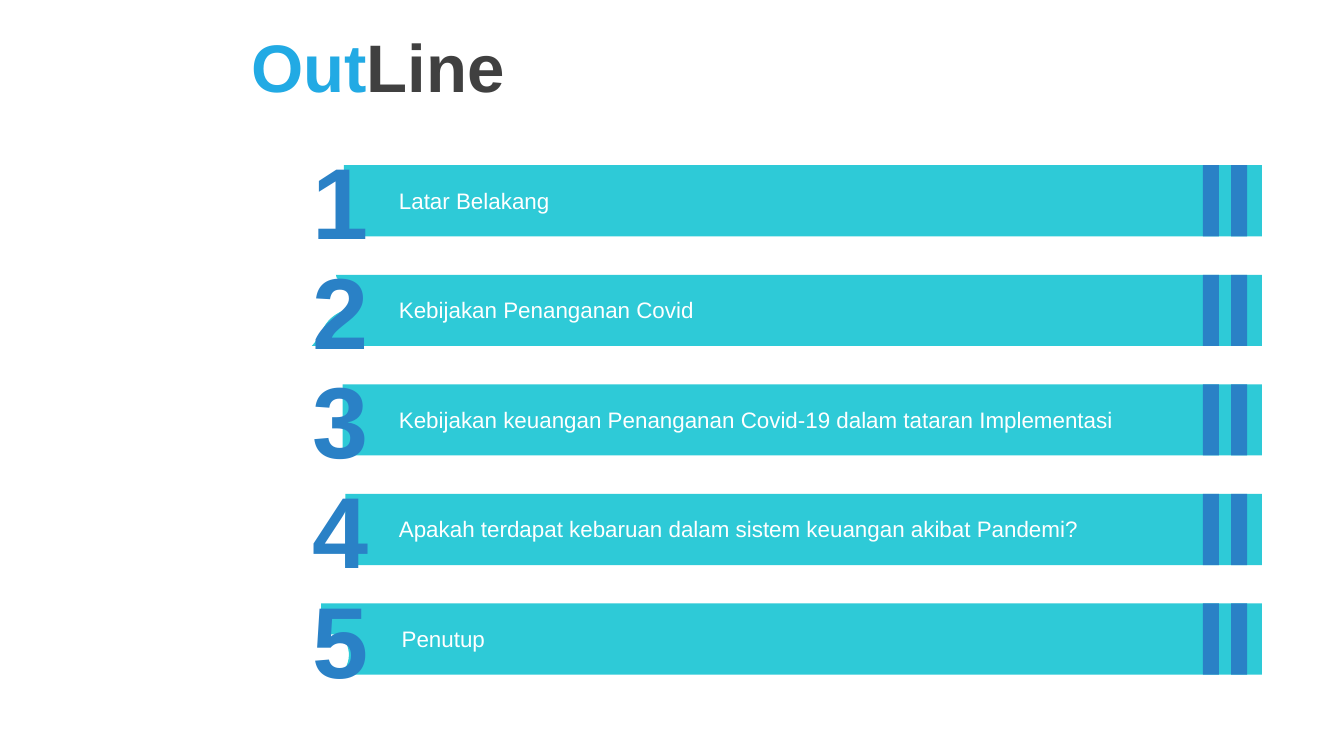
"""Build an outline slide with five numbered banners."""
from pptx import Presentation
from pptx import util as u
from pptx.dml import color
from pptx.enum import shapes, text

FONT = "Arial"
BANNER, ACCENT = "2ECAD7", "2A81C6"
TITLE = [("Out", "22AAE4"), ("Line", "404040")]
RIGHT, HEIGHT = 9.39, 0.53
FIRST_TOP, LAST_TOP = 1.23, 4.49
STRIPE_LEFTS, STRIPE_WIDTH = (9.16, 8.95), 0.12

TWO_EDGE = [
    [(2.32, 0.53)],
    [(2.41, 0.44), (2.39, 0.33), (2.57, 0.26)],
    [(2.74, 0.1), (2.5, 0.08), (2.5, 0)],
]
FIVE_EDGE = [
    [(2.54, 0.53)],
    [(2.61, 0.44), (2.62, 0.34), (2.54, 0.23)],
    [(2.39, 0.23)],
    [(2.39, 0)],
]
ITEMS = [
    ("Latar Belakang", 2.56, 2.87, 5.47),
    ("Kebijakan Penanganan Covid", TWO_EDGE, 2.87, 5.47),
    ("Kebijakan keuangan Penanganan Covid-19 dalam tataran Implementasi", 2.55, 2.87, 5.97),
    ("Apakah terdapat kebaruan dalam sistem keuangan akibat Pandemi?", 2.57, 2.87, 5.67),
    ("Penutup", FIVE_EDGE, 2.89, 5.47),
]


def rgb(value):
    return color.RGBColor.from_string(value)


def paint(shape, fill):
    shape.shadow.inherit = False
    shape.fill.solid()
    shape.fill.fore_color.rgb = rgb(fill)
    shape.line.fill.background()


def add_bar(slide, left, top, width, fill):
    bar = slide.shapes.add_shape(
        shapes.MSO_SHAPE.RECTANGLE,
        *map(u.Inches, (left, top, width, HEIGHT)))
    paint(bar, fill)


def curve(start, controls, steps=12):
    points = [start, *controls]
    for step in range(1, steps + 1):
        t = step / steps
        weights = ((1 - t) ** 3, 3 * t * (1 - t) ** 2, 3 * t * t * (1 - t), t ** 3)
        yield tuple(sum(w * p[axis] for w, p in zip(weights, points)) for axis in (0, 1))


def add_outline(slide, edge, top, fill):
    points = [(RIGHT, 0), (RIGHT, HEIGHT)]
    for segment in edge:
        points += segment if len(segment) == 1 else list(curve(points[-1], segment))
    vertices = [(u.Inches(x), u.Inches(top + y)) for x, y in points]
    builder = slide.shapes.build_freeform(*vertices[0])
    builder.add_line_segments(vertices[1:], close=True)
    paint(builder.convert_to_shape(), fill)


def add_text(slide, runs, box, size, bold=False, align=text.PP_ALIGN.LEFT,
             anchor=text.MSO_ANCHOR.TOP):
    frame = slide.shapes.add_textbox(*map(u.Inches, box)).text_frame
    frame.word_wrap = True
    frame.vertical_anchor = anchor
    paragraph = frame.paragraphs[0]
    paragraph.alignment = align
    for content, fill in runs:
        run = paragraph.add_run()
        run.text = content
        run.font.name = FONT
        run.font.size = u.Pt(size)
        run.font.bold = bold
        run.font.color.rgb = rgb(fill)


def main():
    presentation = Presentation()
    presentation.slide_width = u.Inches(10)
    presentation.slide_height = u.Inches(10 * 9 / 16)
    slide = presentation.slides.add_slide(presentation.slide_layouts[6])
    add_text(slide, TITLE, (1.77, 0, 8.23, 0.97), 36, bold=True,
             anchor=text.MSO_ANCHOR.MIDDLE)
    pitch = (LAST_TOP - FIRST_TOP) / (len(ITEMS) - 1)
    for index, (label, edge, label_left, label_width) in enumerate(ITEMS):
        top = FIRST_TOP + index * pitch
        if isinstance(edge, list):
            add_outline(slide, edge, top, BANNER)
        else:
            add_bar(slide, edge, top, RIGHT - edge, BANNER)
        for left in STRIPE_LEFTS:
            add_bar(slide, left, top, STRIPE_WIDTH, ACCENT)
        add_text(slide, [(str(index + 1), ACCENT)], (2.23, top - 0.25, 0.49, 1.01), 54,
                 bold=True, align=text.PP_ALIGN.CENTER, anchor=text.MSO_ANCHOR.MIDDLE)
        add_text(slide, [(label, "FFFFFF")], (label_left, top + 0.11, label_width, 0.3), 12)
    presentation.save("out.pptx")


if __name__ == "__main__":
    main()
